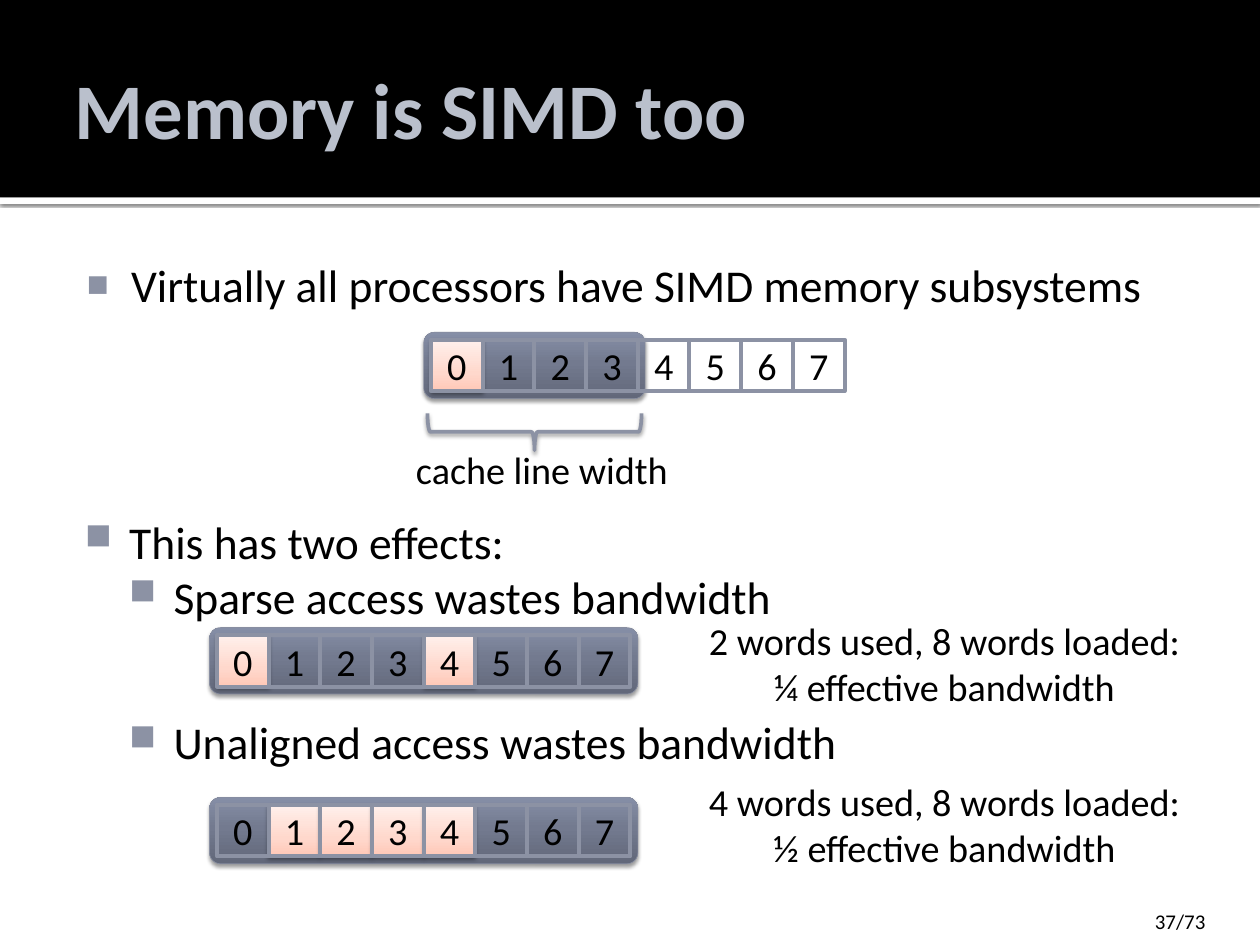
"""Build the slide that explains why memory access behaves like SIMD."""
from dataclasses import dataclass

from lxml import etree
from pptx import Presentation
from pptx.dml.color import RGBColor
from pptx.enum.shapes import MSO_SHAPE
from pptx.enum.text import MSO_ANCHOR, MSO_AUTO_SIZE, PP_ALIGN
from pptx.oxml.ns import qn
from pptx.shapes.autoshape import Shape
from pptx.slide import Slide
from pptx.util import Emu, Pt

RECT, ROUNDED, BRACE = MSO_SHAPE.RECTANGLE, MSO_SHAPE.ROUNDED_RECTANGLE, MSO_SHAPE.RIGHT_BRACE
LEFT, CENTER, RIGHT = PP_ALIGN.LEFT, PP_ALIGN.CENTER, PP_ALIGN.RIGHT
TOP, MIDDLE = MSO_ANCHOR.TOP, MSO_ANCHOR.MIDDLE
NO_AUTOFIT = MSO_AUTO_SIZE.NONE
EMU_PER_PX = 9525
SLIDE_W, SLIDE_H = 1365, 1024
CELL, PAD, WORDS = 56, 8, 8
INDENT = 48


@dataclass(frozen=True)
class Shadow:
    alpha: int
    blur: float
    dist: float


@dataclass(frozen=True)
class Theme:
    font: str = "Calibri"
    text: str = "000000"
    band: str = "000000"
    stripe: str = "FFFFFF"
    title: str = "BAC0CC"
    accent: str = "8C92A4"
    line_edge: str = "888EA1"
    used_edge: str = "E7824C"
    line_fill: tuple = ((0, "62687A"), (55, "737A8F"), (100, "868FA7"))
    used_fill: tuple = ((0, "FFC8B7"), (35, "FFD8CC"), (100, "FFF0EC"))
    title_pt: int = 64
    list_pt: int = 37
    label_pt: int = 31
    page_pt: int = 17
    stripe_shadow: Shadow = Shadow(60, 2.5, 0.8)
    line_shadow: Shadow = Shadow(38, 3.1, 2)
    used_shadow: Shadow = Shadow(38, 3.5, 2)


@dataclass(frozen=True)
class Box:
    left: int
    top: int
    width: int
    height: int

    def emu(self) -> list[Emu]:
        return [px(n) for n in (self.left, self.top, self.width, self.height)]


@dataclass(frozen=True)
class WordRow:
    left: int
    top: int
    loaded: int
    used: tuple[int, ...]


@dataclass(frozen=True)
class Label:
    box: Box
    lines: tuple[str, ...]
    wrap: bool = False


@dataclass(frozen=True)
class BulletList:
    box: Box
    items: tuple[tuple[int, str], ...]


THEME = Theme()
LIST_INSETS = (9, 13, 13, 7)
LABEL_INSETS = (10, 5, 10, 5)
PAGE_INSETS = (13, 7, 13, 7)
TITLE_INSETS = (13, 7, 7, 7)

ROWS = (
    WordRow(467, 368, 4, (0,)),
    WordRow(235, 688, 8, (0, 4)),
    WordRow(235, 872, 8, (1, 2, 3, 4)),
)
LABELS = (
    Label(Box(399, 480, 376, 56), ("cache line width",), wrap=True),
    Label(Box(755, 664, 536, 109), ("2 words used, 8 words loaded:", "¼ effective bandwidth")),
    Label(Box(755, 839, 536, 109), ("4 words used, 8 words loaded:", "½ effective bandwidth")),
)
PREMISE = BulletList(Box(68, 265, 1229, 143),
                     ((0, "Virtually all processors have SIMD memory subsystems"),))
EFFECTS = (
    BulletList(Box(66, 544, 1229, 143),
               ((0, "This has two effects:"), (1, "Sparse access wastes bandwidth"))),
    BulletList(Box(66, 761, 1229, 143), ((1, "Unaligned access wastes bandwidth"),)),
)


def px(length: int) -> Emu:
    """Turn px into EMU."""
    return Emu(length * EMU_PER_PX)


def place(shape: Shape, box: Box) -> None:
    """Move and size a shape."""
    shape.left, shape.top, shape.width, shape.height = box.emu()


def add_bullet(paragraph, level: int) -> None:
    """Give a paragraph a square bullet and a hanging indent."""
    paragraph.level = level
    props = paragraph._p.get_or_add_pPr()
    props.set("marL", str(px(65 + level * INDENT)))
    props.set("indent", str(px(-INDENT)))
    color = etree.SubElement(props, qn("a:buClr"))
    etree.SubElement(color, qn("a:srgbClr"), val=THEME.accent)
    etree.SubElement(props, qn("a:buSzPct"), val="80000")
    etree.SubElement(props, qn("a:buChar"), char="■")


def write(shape: Shape, *lines: str, size: int = THEME.label_pt, color: str = THEME.text,
          bold: bool = False, align: PP_ALIGN = CENTER, anchor: MSO_ANCHOR = MIDDLE,
          insets: tuple[int, ...] = LABEL_INSETS, wrap: bool = True,
          levels: tuple[int, ...] = ()) -> None:
    """Fill a shape with formatted paragraphs, bulleted where levels are given."""
    frame = shape.text_frame
    frame.auto_size = NO_AUTOFIT
    frame.word_wrap, frame.vertical_anchor = wrap, anchor
    frame.margin_left, frame.margin_top, frame.margin_right, frame.margin_bottom = map(px, insets)
    frame.text = "\n".join(lines)
    for index, paragraph in enumerate(frame.paragraphs):
        if levels:
            add_bullet(paragraph, levels[index])
        paragraph.alignment = align
        paragraph.space_before = Pt(0)
        font = paragraph.font
        font.name, font.size, font.bold = THEME.font, Pt(size), bold
        font.color.rgb = RGBColor.from_string(color)


def write_list(shape: Shape, bullets: BulletList) -> None:
    """Place a bullet list and write its items."""
    place(shape, bullets.box)
    levels, texts = zip(*bullets.items)
    write(shape, *texts, size=THEME.list_pt, align=LEFT, anchor=TOP,
          insets=LIST_INSETS, levels=levels)


def draw(slide: Slide, kind: MSO_SHAPE, box: Box, *, fill: str = "", gradient: tuple = (),
         edge: str = "", edge_pt: float = 0.5, shadow: Shadow | None = None) -> Shape:
    """Draw a preset shape with its fill, outline and shadow."""
    shape = slide.shapes.add_shape(kind, *box.emu())
    if gradient:
        shape.fill.gradient()
        shape.fill.gradient_angle = 90
        stops = shape.element.find(".//" + qn("a:gsLst"))
        for stop in list(stops):
            stops.remove(stop)
        for position, color in gradient:
            stop = etree.SubElement(stops, qn("a:gs"), pos=str(position * 1000))
            etree.SubElement(stop, qn("a:srgbClr"), val=color)
    elif fill:
        shape.fill.solid()
        shape.fill.fore_color.rgb = RGBColor.from_string(fill)
    else:
        shape.fill.background()
    if edge:
        shape.line.color.rgb = RGBColor.from_string(edge)
        shape.line.width = Pt(edge_pt)
    else:
        shape.line.fill.background()
    shape.shadow.inherit = False
    if shadow:
        effects = shape.element.find(".//" + qn("a:effectLst"))
        outer = etree.SubElement(effects, qn("a:outerShdw"), blurRad=str(Pt(shadow.blur)),
                                 dist=str(Pt(shadow.dist)), dir="5400000", rotWithShape="0")
        color = etree.SubElement(outer, qn("a:srgbClr"), val="000000")
        etree.SubElement(color, qn("a:alpha"), val=str(shadow.alpha * 1000))
    return shape


def draw_words(slide: Slide, row: WordRow) -> None:
    """Draw the loaded cache lines, the used words and the numbered cells."""
    loaded = Box(row.left - PAD, row.top - PAD, row.loaded * CELL + 2 * PAD, CELL + 2 * PAD)
    draw(slide, ROUNDED, loaded, gradient=THEME.line_fill, edge=THEME.line_edge,
         shadow=THEME.line_shadow)
    cells = [Box(row.left + word * CELL, row.top, CELL, CELL) for word in range(WORDS)]
    for word in row.used:
        draw(slide, RECT, cells[word], gradient=THEME.used_fill, edge=THEME.used_edge,
             shadow=THEME.used_shadow)
    for word, cell in enumerate(cells):
        write(draw(slide, RECT, cell, edge=THEME.accent, edge_pt=3.25), str(word))


def main() -> None:
    """Assemble and save the slide."""
    deck = Presentation()
    deck.slide_width, deck.slide_height = px(SLIDE_W), px(SLIDE_H)
    slide = deck.slides.add_slide(deck.slide_layouts[1])
    title, premise = slide.placeholders

    draw(slide, RECT, Box(0, 214, SLIDE_W, 7), fill=THEME.stripe, shadow=THEME.stripe_shadow)
    draw(slide, RECT, Box(0, 0, SLIDE_W, 214), fill=THEME.band)
    title.element.getparent().append(title.element)
    place(title, Box(68, 23, 1229, 187))
    write(title, "Memory is SIMD too", size=THEME.title_pt, color=THEME.title, bold=True,
          align=LEFT, insets=TITLE_INSETS)

    write_list(premise, PREMISE)
    for effect in EFFECTS:
        write_list(slide.shapes.add_textbox(*effect.box.emu()), effect)
    for row in ROWS:
        draw_words(slide, row)
    brace = draw(slide, BRACE, Box(559, 352, 40, 232), edge=THEME.accent, edge_pt=3,
                 shadow=THEME.used_shadow)
    brace.rotation = 90
    for label in LABELS:
        write(slide.shapes.add_textbox(*label.box.emu()), *label.lines, wrap=label.wrap)
    page = slide.shapes.add_textbox(*Box(1216, 977, 103, 41).emu())
    write(page, "37/73", size=THEME.page_pt, align=RIGHT, anchor=TOP, insets=PAGE_INSETS)
    deck.save("out.pptx")


if __name__ == "__main__":
    main()
